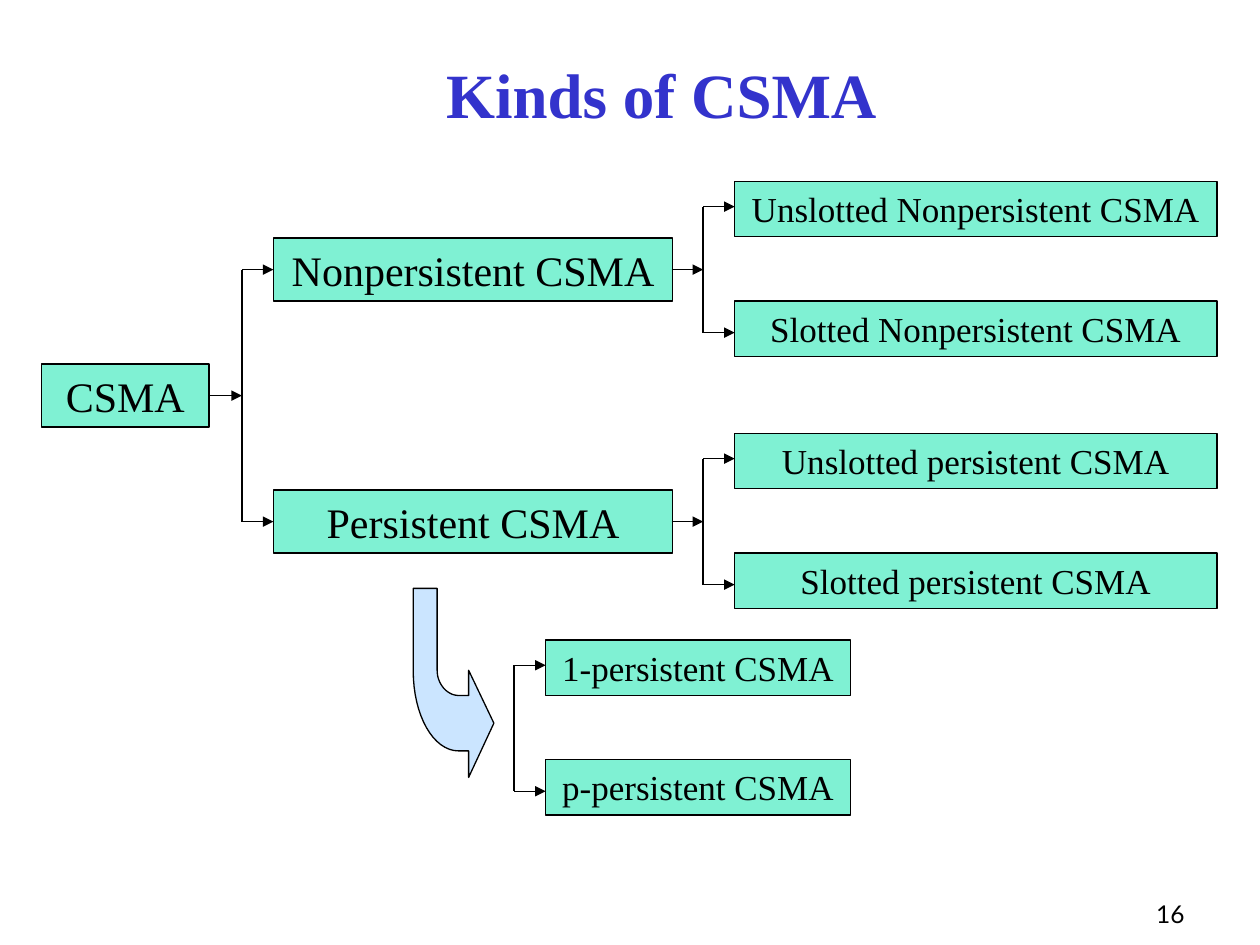
from pptx import Presentation
from pptx.dml.color import RGBColor
from pptx.enum.shapes import MSO_CONNECTOR, MSO_SHAPE
from pptx.enum.text import MSO_ANCHOR, MSO_AUTO_SIZE, PP_ALIGN
from pptx.oxml.ns import qn
from pptx.oxml.xmlchemy import OxmlElement
from pptx.util import Inches, Pt

LINE, RECT = MSO_CONNECTOR.STRAIGHT, MSO_SHAPE.RECTANGLE
TOP, BOTTOM = MSO_ANCHOR.TOP, MSO_ANCHOR.BOTTOM
CENTER, RIGHT = PP_ALIGN.CENTER, PP_ALIGN.RIGHT
GROW = MSO_AUTO_SIZE.SHAPE_TO_FIT_TEXT

# Content: (text, left, width, middle) and (left, width, middle, pair)
TITLE, NUMBER = "Kinds of CSMA", "16"
NODES = [
    ("CSMA", 0.33, 1.33, 3.14),
    ("Nonpersistent CSMA", 2.17, 3.17, 2.14),
    ("Persistent CSMA", 2.17, 3.17, 4.14),
]
PAIRS = [
    (5.83, 3.83, 2.14, ("Unslotted Nonpersistent CSMA", "Slotted Nonpersistent CSMA")),
    (5.83, 3.83, 4.14, ("Unslotted persistent CSMA", "Slotted persistent CSMA")),
    (4.33, 2.42, 5.78, ("1-persistent CSMA", "p-persistent CSMA")),
]
# Forks: tip of the arms, middle, half the spread, stem or not
FORKS = [(2.17, 3.14, 1, True), (5.83, 2.14, 0.5, True),
         (5.83, 4.14, 0.5, True), (4.33, 5.78, 0.5, False)]
# Curved arrow: a pair is a corner, three pairs are a curve
ARROW = [
    (3.92, 5.74), (3.72, 6.17), (3.72, 5.96), (3.64, 5.96),
    ((3.44, 5.96), (3.28, 5.68), (3.28, 5.32)),
    (3.28, 4.67), (3.47, 4.67), (3.47, 5.32),
    ((3.47, 5.43), (3.55, 5.52), (3.64, 5.52)),
    (3.72, 5.52), (3.72, 5.32),
]
THEME = {
    "serif": "Times New Roman", "sans": "Lato",
    "ink": "000000", "title": "3333CC", "box": "00E4A8", "arrow": "99CCFF",
    "title_pt": 36, "node_pt": 24, "leaf_pt": 20, "num_pt": 14, "line_pt": 0.75,
}
NODE_H, LEAF_H = 0.5, 0.44
LEAF_TOPS = (-0.7, 0.25)  # from the middle of the pair
STEM = 0.25

deck = Presentation()
deck.slide_width, deck.slide_height = Inches(10), Inches(7.5)
slide = deck.slides.add_slide(deck.slide_layouts[6])
shapes = slide.shapes


def color(name):
    return RGBColor.from_string(THEME[name])


def write(shape, text, size, align, anchor, font="serif", ink="ink", bold=False):
    frame = shape.text_frame
    frame.word_wrap = True
    frame.vertical_anchor = anchor
    para = frame.paragraphs[0]
    para.alignment = align
    run = para.add_run()
    run.text = text
    run.font.name, run.font.size = THEME[font], Pt(THEME[size])
    run.font.bold, run.font.color.rgb = bold, color(ink)
    return para


def label(text, area, *style, **more):
    write(shapes.add_textbox(*map(Inches, area)), text, *style, **more)


def paint(shape, name):
    """Half-clear fill, thin outline, no shadow."""
    shape.shadow.inherit = False
    shape.fill.solid()
    shape.fill.fore_color.rgb = color(name)
    alpha = OxmlElement("a:alpha")
    alpha.set("val", "50000")
    shape.element.spPr.find(qn("a:solidFill"))[0].append(alpha)
    shape.line.color.rgb = color("ink")
    shape.line.width = Pt(THEME["line_pt"])


def box(text, left, top, width, height, size):
    shape = shapes.add_shape(RECT, *map(Inches, (left, top, width, height)))
    paint(shape, "box")
    para = write(shape, text, size, CENTER, TOP)
    para.space_before = Pt(THEME[size] * 0.625)
    shape.text_frame.auto_size = GROW


def link(x1, y1, x2, y2, head=True):
    line = shapes.add_connector(LINE, *map(Inches, (x1, y1, x2, y2)))
    line.line.color.rgb = color("ink")
    line.line.width = Pt(THEME["line_pt"])
    props = line.element.spPr
    if head:
        tip = OxmlElement("a:tailEnd")
        tip.set("type", "triangle")
        props.find(qn("a:ln")).append(tip)
    props.append(OxmlElement("a:effectLst"))


def fork(tip, mid, half, stem):
    x = tip - STEM
    if stem:
        link(x - STEM, mid, x, mid)
    link(x, mid - half, x, mid + half, head=False)
    for y in (mid - half, mid + half):
        link(x, y, tip, y)


def curve(start, ctrl, steps=16):
    """Points along a cubic curve."""
    for i in range(1, steps + 1):
        t = i / steps
        u = 1 - t
        parts = (u ** 3, 3 * u * u * t, 3 * u * t * t, t ** 3)
        yield tuple(sum(w * p[k] for w, p in zip(parts, (start, *ctrl)))
                    for k in (0, 1))


# Title and page number
label(NUMBER, (7.42, 6.92, 2.08, 0.5), "num_pt", RIGHT, BOTTOM, font="sans")
label(TITLE, (1, 0.17, 8.5, 0.92), "title_pt", CENTER, BOTTOM,
      ink="title", bold=True)

# Boxes of the tree
for text, left, width, mid in NODES:
    box(text, left, mid - NODE_H / 2, width, NODE_H, "node_pt")
for left, width, mid, pair in PAIRS:
    for text, shift in zip(pair, LEAF_TOPS):
        box(text, left, mid + shift, width, LEAF_H, "leaf_pt")

# Forks between levels
for item in FORKS:
    fork(*item)

# Curved arrow
dots = []
for step in ARROW:
    if len(step) == 3:
        dots.extend(curve(dots[-1], step))
    else:
        dots.append(step)
dots = [(Inches(x), Inches(y)) for x, y in dots]
pen = shapes.build_freeform(*dots[0])
pen.add_line_segments(dots[1:], close=True)
paint(pen.convert_to_shape(), "arrow")

deck.save("out.pptx")
